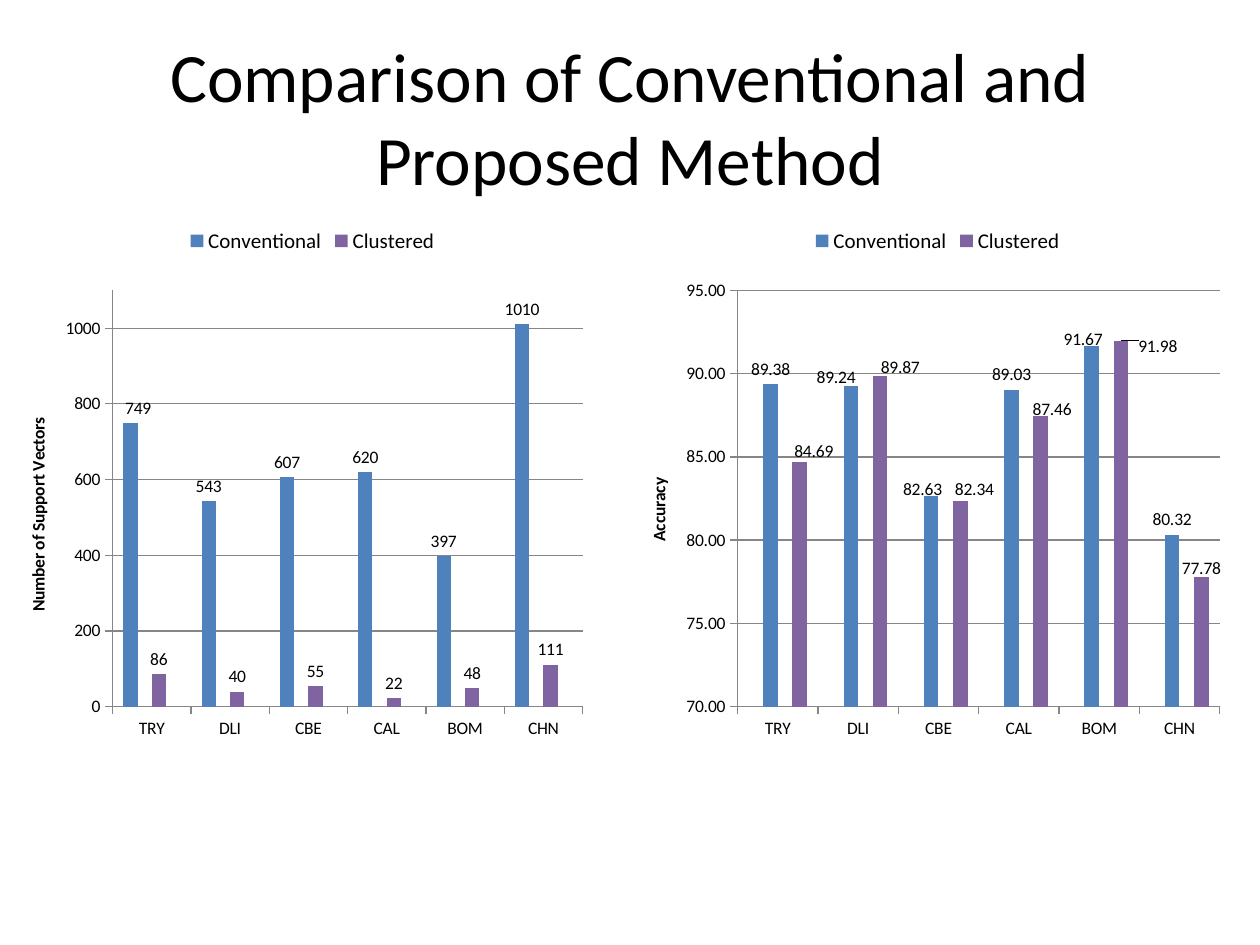
import pptx
import pptx.chart.data
import pptx.dml.color
import pptx.enum.chart
import pptx.enum.text
import pptx.oxml
import pptx.oxml.ns
import pptx.util

Pt = pptx.util.Pt
qn = pptx.oxml.ns.qn
RGBColor = pptx.dml.color.RGBColor

BLACK = RGBColor(0x00, 0x00, 0x00)
GRAY = RGBColor(0x86, 0x86, 0x86)
BLUE = RGBColor(0x4F, 0x81, 0xBD)
PURPLE = RGBColor(0x80, 0x64, 0xA2)
GREEN = RGBColor(0x9B, 0xBB, 0x59)
RED = RGBColor(0xC0, 0x50, 0x4D)

FONT = "Calibri"
CHART_SIDE = 340
STATIONS = ["TRY", "DLI", "CBE", "CAL", "BOM", "CHN"]
EMPTY = [None] * len(STATIONS)

# Each series: name, values, colour, label shifts in points by category index
VECTOR_SERIES = [
    ("Conventional", [749, 543, 607, 620, 397, 1010], BLUE, {0: (4.5, 0)}),
    ("Series 2", EMPTY, GREEN, {}),
    ("Clustered", [86, 40, 55, 22, 48, 111], PURPLE, {}),
    ("Series 4", EMPTY, RED, {}),
]
ACCURACY_SERIES = [
    ("Series 1", EMPTY, GREEN, {}),
    ("Conventional", [89.38, 89.24, 82.63, 89.03, 91.67, 80.32], BLUE,
     {1: (-8.5, 3.5), 2: (-5, 4.5), 4: (-5, 5)}),
    ("Series 3", EMPTY, RED, {}),
    ("Clustered", [84.69, 89.87, 82.34, 87.46, 91.98, 77.78], PURPLE,
     {0: (8, 2.5), 1: (11.5, 4), 2: (8, 2), 3: (6.5, 5), 4: (21, 12), 5: (0, 3.5)}),
]


def chart_xml(text):
    """Parse a chart element whose root tag is the first word of text."""
    tag, space, rest = text.partition(">")
    return pptx.oxml.parse_xml(f"{tag} {pptx.oxml.ns.nsdecls('c')}>{rest}")


def manual_layout(inner="", **values):
    parts = "".join(f'<c:{key} val="{value:.4f}"/>' for key, value in values.items())
    return chart_xml(f"<c:layout><c:manualLayout>{inner}{parts}</c:manualLayout></c:layout>")


def add_title(page, text):
    box = page.shapes.add_textbox(Pt(36), Pt(21.6), Pt(648), Pt(90))
    box.text_frame.word_wrap = True
    box.text_frame.vertical_anchor = pptx.enum.text.MSO_ANCHOR.MIDDLE
    para = box.text_frame.paragraphs[0]
    para.text = text
    para.alignment = pptx.enum.text.PP_ALIGN.CENTER
    set_font(para.font, 39.6)


def set_font(font, size, bold=False):
    font.name = FONT
    font.size = Pt(size)
    font.bold = bold
    font.color.rgb = BLACK


def style_axes(chart, title, low, high, step):
    axis = chart.value_axis
    axis.minimum_scale, axis.maximum_scale, axis.major_unit = low, high, step
    axis.has_major_gridlines = True
    axis.major_gridlines.format.line.color.rgb = GRAY
    para = axis.axis_title.text_frame.paragraphs[0]
    para.text = title
    set_font(para.font, 10, bold=True)
    for each in (axis, chart.category_axis):
        each.major_tick_mark = pptx.enum.chart.XL_TICK_MARK.OUTSIDE
        each.format.line.color.rgb = GRAY


def add_legend(chart, hidden):
    """Show the legend on top, without the entries of the spacer series."""
    chart.has_legend = True
    legend = chart.legend
    legend.position = pptx.enum.chart.XL_LEGEND_POSITION.TOP
    legend.include_in_layout = False
    set_font(legend.font, 12)
    position = legend._element.find(qn("c:legendPos"))
    for index in reversed(hidden):
        position.addnext(chart_xml(
            f'<c:legendEntry><c:idx val="{index}"/><c:delete val="1"/></c:legendEntry>'))


def label_series(series, shifts, number_format):
    outside = pptx.enum.chart.XL_LABEL_POSITION.OUTSIDE_END
    labels = series.data_labels
    labels.show_value = True
    labels.position = outside
    labels.number_format = number_format
    labels.number_format_is_linked = False
    set_font(labels.font, 10)
    for index, (right, down) in shifts.items():
        label = series.points[index].data_label
        label.position = outside
        set_font(label.font, 10)
        entry = next(item for item in labels._element.findall(qn("c:dLbl"))
                     if item.find(qn("c:idx")).get("val") == str(index))
        entry.find(qn("c:idx")).addnext(
            manual_layout(x=right / CHART_SIDE, y=down / CHART_SIDE))


def add_column_chart(page, left, rows, title, scale, plot_width, number_format):
    data = pptx.chart.data.CategoryChartData(number_format=number_format)
    data.categories = STATIONS
    for name, values, color, shifts in rows:
        data.add_series(name, values)
    chart = page.shapes.add_chart(
        pptx.enum.chart.XL_CHART_TYPE.COLUMN_CLUSTERED,
        Pt(left), Pt(122.4), Pt(CHART_SIDE), Pt(CHART_SIDE), data).chart
    chart.has_title = False
    set_font(chart.font, 10)
    style_axes(chart, title, *scale)
    add_legend(chart, [i for i, row in enumerate(rows) if row[1] is EMPTY])

    plot = chart.plots[0]
    plot.gap_width = 150
    plot.vary_by_categories = False
    for series, (name, values, color, shifts) in zip(plot.series, rows):
        series.format.fill.solid()
        series.format.fill.fore_color.rgb = color
        series.invert_if_negative = False
        if values is not EMPTY:
            label_series(series, shifts, number_format)

    area = chart._chartSpace.find(".//" + qn("c:plotArea"))
    for old in area.findall(qn("c:layout")):
        area.remove(old)
    area.insert(0, manual_layout(
        '<c:layoutTarget val="inner"/><c:xMode val="edge"/><c:yMode val="edge"/>',
        x=0.164, y=0.128, w=plot_width, h=0.7))


def main():
    deck = pptx.Presentation()
    deck.slide_width, deck.slide_height = Pt(720), Pt(540)
    page = deck.slides.add_slide(deck.slide_layouts[6])
    add_title(page, "Comparison of Conventional and Proposed Method")
    add_column_chart(page, 8.6, VECTOR_SERIES, "Number of Support Vectors",
                     (0, 1100, 200), 0.79, "General")
    add_column_chart(page, 365.8, ACCURACY_SERIES, "Accuracy",
                     (70, 95, 5), 0.81, "#,##0.00")
    deck.save("out.pptx")


if __name__ == "__main__":
    main()
